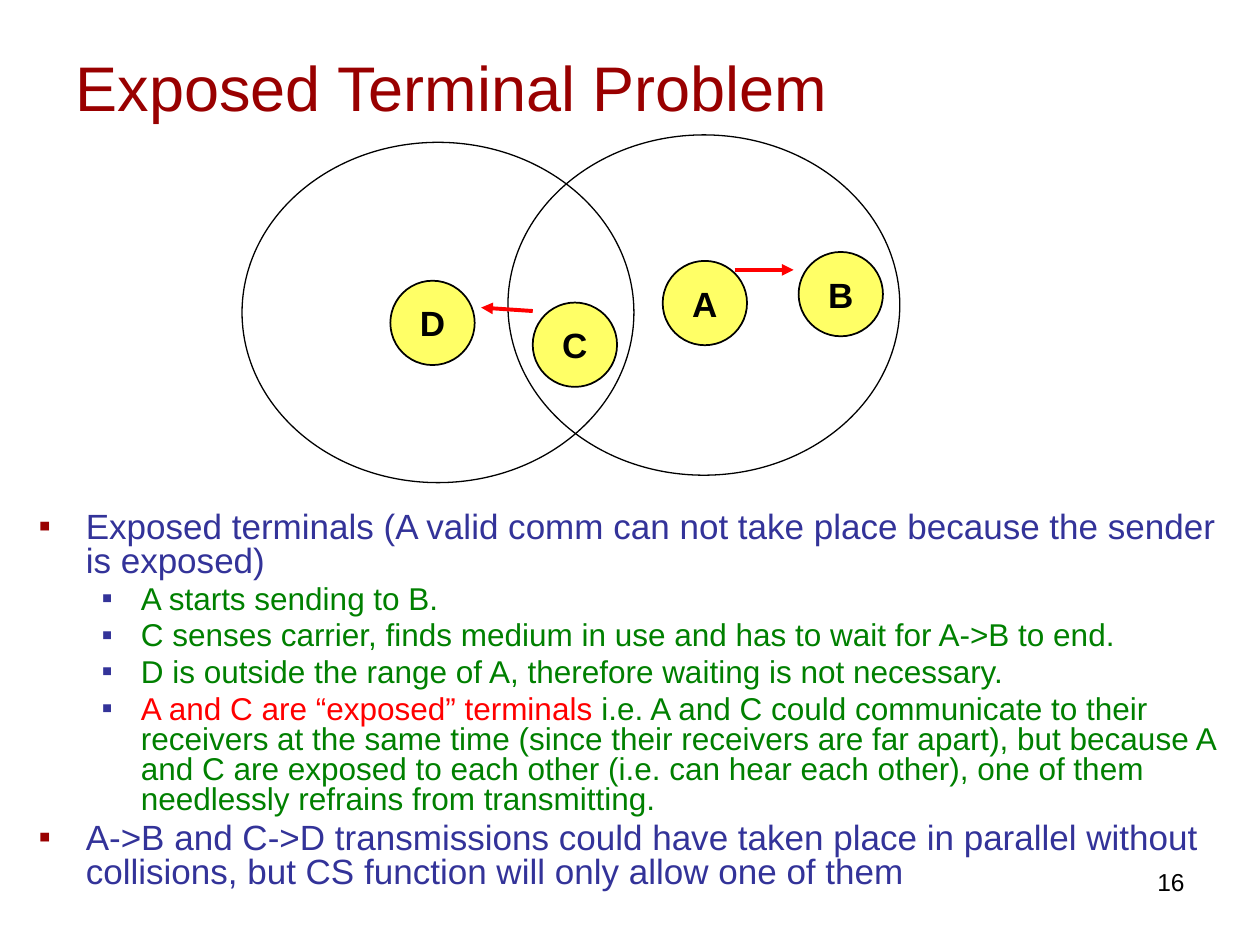
from dataclasses import dataclass

from lxml import etree
from pptx import Presentation
from pptx import util as u
from pptx.dml.color import RGBColor
from pptx.enum import shapes, text
from pptx.oxml import ns


@dataclass(frozen=True)
class Theme:
    font: str = "Arial"
    title: str = "990000"
    main: str = "333399"
    sub: str = "008000"
    alert: str = "FF0000"
    node: str = "FFFF66"
    ink: str = "000000"
    head: int = 36
    big: int = 20
    small: int = 18
    num: int = 14


@dataclass(frozen=True)
class Disc:
    left: float
    top: float
    wide: float
    high: float
    name: str = ""


@dataclass(frozen=True)
class Arrow:
    x1: float
    y1: float
    x2: float
    y2: float


@dataclass(frozen=True)
class Point:
    level: int
    words: str
    lead: str = ""


@dataclass(frozen=True)
class Level:
    indent: float
    hang: float
    size: int
    color: str
    mark: str


T = Theme()
LEVELS = (
    Level(0.95, 0.95, T.big, T.main, T.title),
    Level(2.06, 0.79, T.small, T.sub, T.main),
)
NODE = 1.7
RANGE = (7.9, 6.86)

DISCS = (
    Disc(4.88, 2.87, *RANGE),
    Disc(13.36, 5.26, NODE, NODE, "A"),
    Disc(16.1, 5.08, NODE, NODE, "B"),
    Disc(10.74, 6.1, NODE, NODE, "C"),
    Disc(10.24, 2.72, *RANGE),
    Disc(7.87, 5.66, NODE, NODE, "D"),
)
ARROWS = (Arrow(14.81, 5.44, 16, 5.44), Arrow(10.74, 6.27, 9.7, 6.2))
POINTS = (
    Point(0, "Exposed terminals (A valid comm can not take place because "
             "the sender is exposed)"),
    Point(1, "A starts sending to B."),
    Point(1, "C senses carrier, finds medium in use and has to wait for A->B to end."),
    Point(1, "D is outside the range of A, therefore waiting is not necessary."),
    Point(1, "i.e. A and C could communicate to their receivers at the same time "
             "(since their receivers are far apart), but because A and C are exposed "
             "to each other (i.e. can hear each other), one of them needlessly "
             "refrains from transmitting.",
          "A and C are “exposed” terminals "),
    Point(0, "A->B and C->D transmissions could have taken place in parallel without "
             "collisions, but CS function will only allow one of them"),
)


def apply(obj, vals: dict) -> None:
    for key, val in vals.items():
        setattr(obj, key, val)


def place(shape, left: float, top: float, wide: float, high: float) -> None:
    apply(shape, {"left": u.Cm(left), "top": u.Cm(top),
                  "width": u.Cm(wide), "height": u.Cm(high)})


def write(para, words: str, size: int, color: str, bold: bool = False) -> None:
    run = para.add_run()
    run.text = words
    apply(run.font, {"name": T.font, "size": u.Pt(size), "bold": bold})
    run.font.color.rgb = RGBColor.from_string(color)


def stroke(line, color: str, width: float) -> None:
    line.color.rgb = RGBColor.from_string(color)
    line.width = u.Pt(width)


def add_disc(slide, disc: Disc) -> None:
    oval = slide.shapes.add_shape(shapes.MSO_SHAPE.OVAL, 0, 0, 0, 0)
    place(oval, disc.left, disc.top, disc.wide, disc.high)
    oval.shadow.inherit = False
    stroke(oval.line, T.ink, 1 if disc.name else 0.75)
    if not disc.name:
        oval.fill.background()
        return
    oval.fill.solid()
    oval.fill.fore_color.rgb = RGBColor.from_string(T.node)
    apply(oval.text_frame, {"word_wrap": False,
                            "vertical_anchor": text.MSO_ANCHOR.MIDDLE})
    para = oval.text_frame.paragraphs[0]
    para.alignment = text.PP_ALIGN.CENTER
    write(para, disc.name, T.big, T.ink, True)


def add_arrow(slide, arrow: Arrow) -> None:
    ends = (u.Cm(v) for v in (arrow.x1, arrow.y1, arrow.x2, arrow.y2))
    link = slide.shapes.add_connector(shapes.MSO_CONNECTOR.STRAIGHT, *ends)
    stroke(link.line, T.alert, 2.25)
    etree.SubElement(link.line._get_or_add_ln(), ns.qn("a:tailEnd"), type="triangle")
    etree.SubElement(link._element.spPr, ns.qn("a:effectLst"))


def add_point(para, point: Point) -> None:
    form = LEVELS[point.level]
    apply(para, {"level": point.level, "line_spacing": 0.8,
                 "space_before": u.Pt(form.size * 0.2)})
    # Hanging indent and square bullet
    props = para._p.get_or_add_pPr()
    props.set("marL", str(u.Cm(form.indent)))
    props.set("indent", str(-u.Cm(form.hang)))
    tint = etree.SubElement(props, ns.qn("a:buClr"))
    etree.SubElement(tint, ns.qn("a:srgbClr"), val=form.mark)
    etree.SubElement(props, ns.qn("a:buFont"), typeface=T.font)
    etree.SubElement(props, ns.qn("a:buChar"), char="▪")
    if point.lead:
        write(para, point.lead, form.size, T.alert)
    write(para, point.words, form.size, form.color)


def add_box(slide, left: float, top: float, wide: float, high: float):
    box = slide.shapes.add_textbox(0, 0, 0, 0)
    place(box, left, top, wide, high)
    box.text_frame.word_wrap = True
    return box.text_frame


def main() -> None:
    deck = Presentation()
    apply(deck, {"slide_width": u.Cm(25.4), "slide_height": u.Cm(19.05)})
    slide = deck.slides.add_slide(deck.slide_layouts[5])

    # Title
    title = slide.shapes.title
    place(title, 1.27, 0.43, 22.86, 2.62)
    apply(title.text_frame, {"vertical_anchor": text.MSO_ANCHOR.MIDDLE,
                             "auto_size": text.MSO_AUTO_SIZE.NONE})
    para = title.text_frame.paragraphs[0]
    para.alignment = text.PP_ALIGN.LEFT
    write(para, "Exposed Terminal Problem", T.head, T.title)

    # Slide number
    para = add_box(slide, 18.21, 17.35, 5.92, 1.32).paragraphs[0]
    para.alignment = text.PP_ALIGN.RIGHT
    write(para, "16", T.num, T.ink)

    # Explanation
    body = add_box(slide, 0.53, 10.21, 24.33, 8.03)
    for i, point in enumerate(POINTS):
        add_point(body.add_paragraph() if i else body.paragraphs[0], point)

    # Radio ranges, terminals and transmissions
    for disc in DISCS:
        add_disc(slide, disc)
    for arrow in ARROWS:
        add_arrow(slide, arrow)

    deck.save("out.pptx")


if __name__ == "__main__":
    main()
